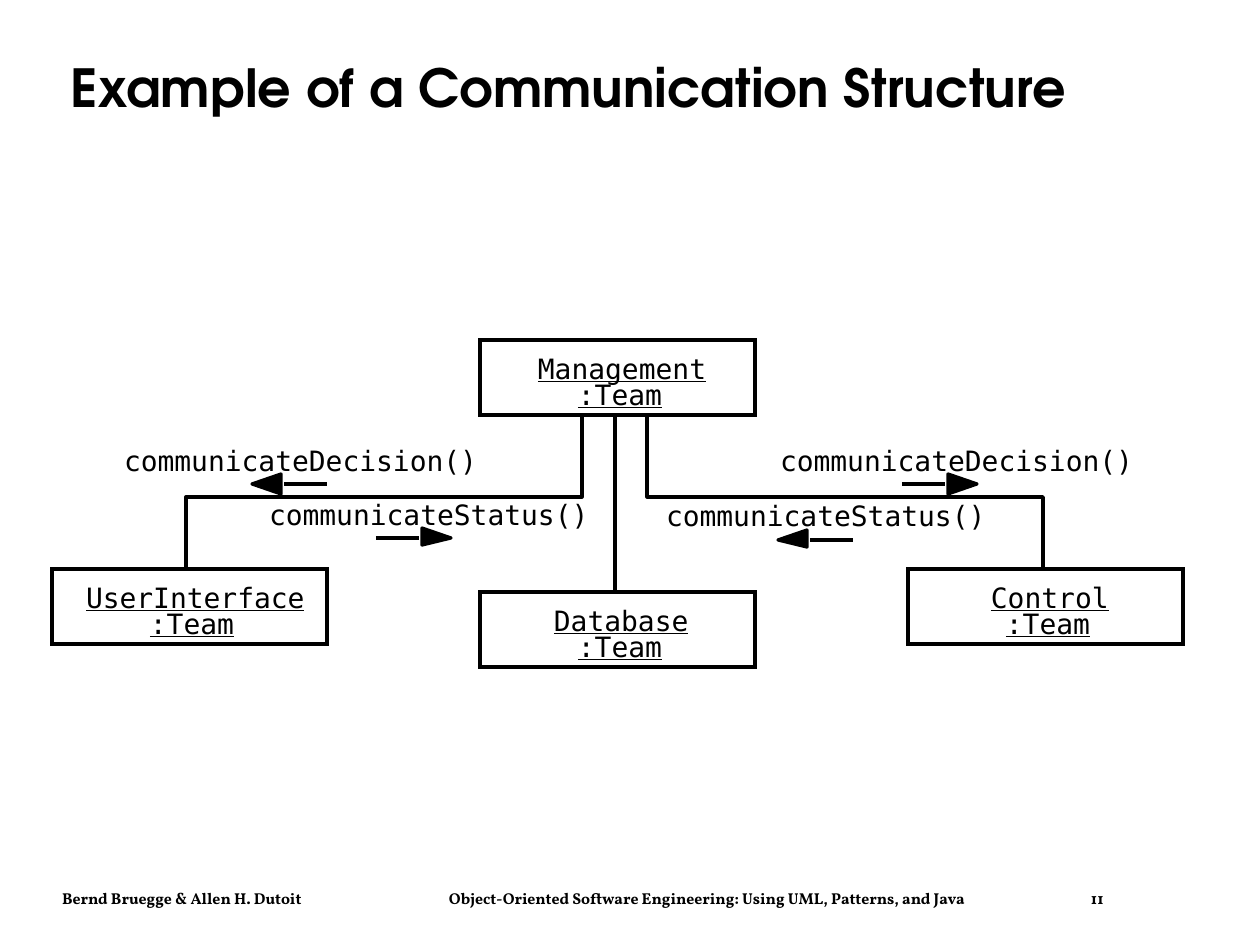
from dataclasses import dataclass
from math import ceil

from lxml import etree
from pptx import Presentation
from pptx.dml.color import RGBColor
from pptx.enum.shapes import MSO_CONNECTOR, MSO_SHAPE
from pptx.enum.text import MSO_ANCHOR, MSO_AUTO_SIZE
from pptx.oxml.ns import qn
from pptx.util import Emu, Pt

RECTANGLE = MSO_SHAPE.RECTANGLE
STRAIGHT = MSO_CONNECTOR.STRAIGHT
MIDDLE = MSO_ANCHOR.MIDDLE
TOP = MSO_ANCHOR.TOP
GROW = MSO_AUTO_SIZE.SHAPE_TO_FIT_TEXT
FIXED = MSO_AUTO_SIZE.NONE

EMU_PER_PX = 914400 / 126
COLORS = {"ink": "000000"}
INK = RGBColor.from_string(COLORS["ink"])
LINE_WIDTH = Pt(1.87)

TEAM_WIDTH, TEAM_HEIGHT = 275, 75
ROLE_OFFSET = 98
CHAR_WIDTH = 16.9
LABEL_HEIGHT = 34


@dataclass(frozen=True)
class TextStyle:
    font: str
    size: int
    bold: bool = False
    underline: bool = False


@dataclass(frozen=True)
class Team:
    name: str
    left: int
    top: int
    name_offset: int


@dataclass(frozen=True)
class Message:
    label: str
    left: int
    top: int
    arrow_start: int
    arrow_y: int
    direction: int
    head_drop: int


TITLE = TextStyle("TeX Gyre Adventor", 30, bold=True)
FOOTER = TextStyle("Vollkorn", 9, bold=True)
OBJECT = TextStyle("DejaVu Sans Mono", 16, underline=True)
CALL = TextStyle("DejaVu Sans Mono", 16)

FOOTER_PARTS = (
    "Bernd Bruegge & Allen H. Dutoit",
    "Object-Oriented Software Engineering: Using UML, Patterns, and Java",
    "11",
)
FOOTER_TABS = (387, 1029)

LINKS = (
    ((186, 569), (186, 497), (582, 497), (582, 416)),
    ((1043, 569), (1043, 497), (647, 497), (647, 416)),
)
TEAMS = (
    Team("UserInterface", 52, 569, 34),
    Team("Database", 480, 592, 74),
    Team("Control", 908, 569, 83),
    Team("Management", 480, 340, 58),
)
MESSAGES = (
    Message("communicateStatus()", 666, 499, 853, 540, -1, 7),
    Message("communicateDecision()", 780, 444, 902, 484, 1, 10),
    Message("communicateDecision()", 124, 444, 327, 484, -1, 10),
    Message("communicateStatus()", 269, 498, 376, 538, 1, 7),
)


def px(length: float) -> Emu:
    return Emu(round(length * EMU_PER_PX))


def draw_text(slide, text: str, style: TextStyle, left: int, top: int,
              width: int, height: int, insets: tuple = (0, 0),
              wrap: bool = False, anchor=TOP, auto_size=GROW):
    box = slide.shapes.add_textbox(px(left), px(top), px(width), px(height))
    frame = box.text_frame
    frame.word_wrap = wrap
    frame.auto_size = auto_size
    frame.vertical_anchor = anchor
    frame.margin_left = frame.margin_right = px(insets[0])
    frame.margin_top = frame.margin_bottom = px(insets[1])
    paragraph = frame.paragraphs[0]
    paragraph.text = text
    for run in paragraph.runs:
        run.font.name = style.font
        run.font.size = Pt(style.size)
        run.font.bold = style.bold
        run.font.underline = style.underline
        run.font.color.rgb = INK
    return paragraph


def draw_label(slide, text: str, style: TextStyle, left: int, top: int) -> None:
    draw_text(slide, text, style, left, top,
              ceil(len(text) * CHAR_WIDTH) + 1, LABEL_HEIGHT)


def outline(shape) -> None:
    shape.line.color.rgb = INK
    shape.line.width = LINE_WIDTH


def draw_line(slide, start: tuple, end: tuple) -> None:
    line = slide.shapes.add_connector(
        STRAIGHT, px(start[0]), px(start[1]), px(end[0]), px(end[1]))
    outline(line)
    etree.SubElement(line.element.spPr, qn("a:effectLst"))


def draw_path(slide, points: tuple, filled: bool) -> None:
    builder = slide.shapes.build_freeform(*points[0], scale=EMU_PER_PX)
    builder.add_line_segments(points[1:], close=filled)
    shape = builder.convert_to_shape()
    shape.shadow.inherit = False
    if filled:
        shape.fill.solid()
        shape.fill.fore_color.rgb = INK
    else:
        shape.fill.background()
    outline(shape)


def draw_team(slide, team: Team) -> None:
    frame = slide.shapes.add_shape(RECTANGLE, px(team.left), px(team.top),
                                   px(TEAM_WIDTH), px(TEAM_HEIGHT))
    frame.shadow.inherit = False
    frame.fill.background()
    outline(frame)
    edge = frame.element.spPr.find(qn("a:ln"))
    etree.SubElement(edge, qn("a:miter"), lim="800000")
    draw_label(slide, team.name, OBJECT, team.left + team.name_offset, team.top + 12)
    draw_label(slide, ":Team", OBJECT, team.left + ROLE_OFFSET, team.top + 38)


def draw_message(slide, message: Message) -> None:
    start, y = message.arrow_start, message.arrow_y
    shaft_end, base, tip = (start + message.direction * step for step in (43, 46, 75))
    draw_path(slide, ((base, y - 10), (tip, y), (base, y + message.head_drop)), True)
    draw_line(slide, (start, y), (shaft_end, y))
    draw_label(slide, message.label, CALL, message.left, message.top)


def draw_footer(slide) -> None:
    paragraph = draw_text(slide, "\t".join(FOOTER_PARTS), FOOTER,
                          49, 883, 1155, 32, insets=(13, 6), wrap=True)
    properties = paragraph._p.get_or_add_pPr()
    tabs = etree.SubElement(properties, qn("a:tabLst"))
    for position in FOOTER_TABS:
        etree.SubElement(tabs, qn("a:tab"), pos=str(px(position)), algn="l")


def main() -> None:
    deck = Presentation()
    deck.slide_width, deck.slide_height = px(1260), px(945)
    slide = deck.slides.add_slide(deck.slide_layouts[6])

    draw_footer(slide)
    draw_line(slide, (615, 592), (615, 416))
    for link in LINKS:
        draw_path(slide, link, False)
    title = draw_text(slide, "Example of a Communication Structure", TITLE,
                      58, 31, 1124, 118, insets=(13, 6), wrap=True,
                      anchor=MIDDLE, auto_size=FIXED)
    title.line_spacing = 0.9
    for team in TEAMS:
        draw_team(slide, team)
    for message in MESSAGES:
        draw_message(slide, message)
    deck.save("out.pptx")


if __name__ == "__main__":
    main()
